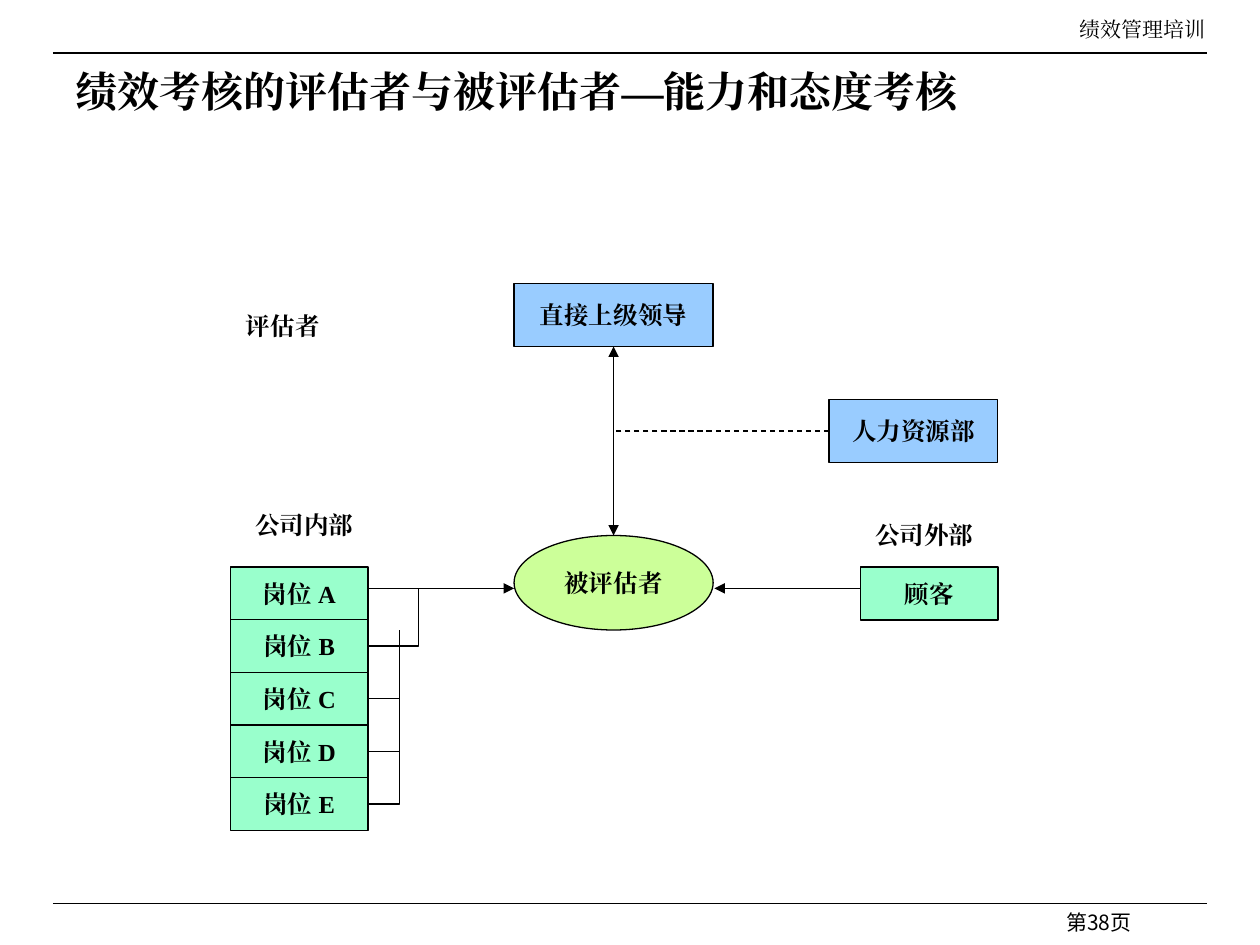
from lxml.etree import SubElement
from pptx import Presentation
from pptx.dml.color import RGBColor
from pptx.enum.dml import MSO_LINE
from pptx.enum.shapes import MSO_CONNECTOR, MSO_SHAPE
from pptx.enum.text import MSO_ANCHOR, MSO_AUTO_SIZE, PP_ALIGN
from pptx.oxml.ns import qn
from pptx.util import Inches, Pt

COLORS = {"ink": "000000", "leader": "99CCFF", "post": "99FFCC", "subject": "CCFF99"}
SERIF = "Times New Roman"
SANS = "Noto Sans CJK SC"


def rgb(name):
    return RGBColor.from_string(COLORS[name])


def write(sp, text, size=14, bold=True, align=PP_ALIGN.CENTER,
          anchor=MSO_ANCHOR.MIDDLE, font=SERIF, wrap=True):
    tf = sp.text_frame
    tf.word_wrap = wrap
    tf.auto_size = MSO_AUTO_SIZE.NONE
    tf.vertical_anchor = anchor
    p = tf.paragraphs[0]
    p.alignment = align
    p.space_before = Pt(0)
    r = p.add_run()
    r.text = text
    r.font.size = Pt(size)
    r.font.bold = bold
    r.font.color.rgb = rgb("ink")
    r.font.name = font
    SubElement(r.font._element, qn("a:ea")).set("typeface", font)


def add_label(s, box, text, **style):
    sp = s.shapes.add_textbox(*map(Inches, box))
    write(sp, text, anchor=MSO_ANCHOR.TOP, **style)


def set_outline(sp):
    sp.line.color.rgb = rgb("ink")
    sp.line.width = Pt(0.75)


def add_node(s, box, text, fill, kind=MSO_SHAPE.RECTANGLE):
    sp = s.shapes.add_shape(kind, *map(Inches, box))
    sp.shadow.inherit = False
    sp.fill.solid()
    sp.fill.fore_color.rgb = rgb(fill)
    set_outline(sp)
    write(sp, text, wrap=False)


def add_line(s, start, end, arrows=(), elbow=False, dashed=False):
    kind = MSO_CONNECTOR.ELBOW if elbow else MSO_CONNECTOR.STRAIGHT
    sp = s.shapes.add_connector(kind, *map(Inches, start + end))
    set_outline(sp)
    if dashed:
        sp.line.dash_style = MSO_LINE.DASH
    props = sp._element.spPr
    if elbow:
        props.find(qn("a:prstGeom")).set("prst", "bentConnector2")
    for arrow in arrows:
        SubElement(sp.line._get_or_add_ln(), qn(f"a:{arrow}")).set("type", "triangle")
    SubElement(props, qn("a:effectLst"))


def add_frame(s, left, right, top, bottom):
    for y in (top, bottom):
        add_line(s, (left, y), (right, y))
    add_label(s, (5, 0.08, 4.67, 0.3), "绩效管理培训",
              size=12, bold=False, align=PP_ALIGN.RIGHT)
    add_label(s, (7, bottom, 2.08, 0.17), "第38页",
              size=12, bold=False, align=PP_ALIGN.RIGHT, font=SANS)


def add_title(s, box, text):
    sp = s.shapes.title
    sp.left, sp.top, sp.width, sp.height = map(Inches, box)
    write(sp, text, size=24, align=PP_ALIGN.LEFT)


def add_posts(s, left, top, width, height):
    row = height / 5
    right = left + width
    for i, letter in enumerate("ABCDE"):
        add_node(s, (left, top + i * row, width, row), f"岗位 {letter}", "post")
    arrow_y = top + 0.17
    add_line(s, (right, arrow_y), (4.08, arrow_y), ["tailEnd"])
    y_b = top + 1.5 * row
    builder = s.shapes.build_freeform(Inches(right), Inches(y_b), scale=1.0)
    builder.add_line_segments(
        [(Inches(x), Inches(y)) for x, y in
         ((right + 0.4, y_b), (right + 0.4, arrow_y), (right, arrow_y))], close=False)
    bracket = builder.convert_to_shape()
    bracket.shadow.inherit = False
    bracket.fill.background()
    set_outline(bracket)
    for i, end_y in enumerate((5, 5.33, 5.92), 2):
        add_line(s, (right, top + (i + 0.5) * row), (right + 0.25, end_y), elbow=True)


def add_center(s, left, top, width, height):
    middle = left + width / 2
    add_node(s, (left, top, width, 0.5), "直接上级领导", "leader")
    add_node(s, (left, top + height - 0.75, width, 0.75), "被评估者", "subject",
             MSO_SHAPE.OVAL)
    bottom = top + height - 0.75
    add_line(s, (middle, top + 0.5), (middle, bottom), ["headEnd", "tailEnd"])
    add_line(s, (6.58, 3.42), (middle, bottom), elbow=True, dashed=True)


def add_outside(s, left, top, right):
    add_node(s, (left, top, right - left, 0.5), "人力资源部", "leader")
    add_node(s, (left + 0.25, 4.5, right - left - 0.25, 0.42), "顾客", "post")
    add_line(s, (left + 0.25, 4.67), (5.67, 4.67), ["tailEnd"])


def main():
    prs = Presentation()
    prs.slide_width, prs.slide_height = Inches(10), Inches(7.5)
    s = prs.slides.add_slide(prs.slide_layouts[5])
    add_frame(s, 0.42, 9.58, 0.42, 7.17)
    add_title(s, (0.5, 0.47, 8.92, 0.5), "绩效考核的评估者与被评估者—能力和态度考核")
    add_posts(s, 1.83, 4.5, 1.09, 2.09)
    add_center(s, 4.08, 2.25, 1.58, 2.75)
    add_outside(s, 6.58, 3.17, 7.92)
    for text, box in (("评估者", (1.58, 2.42, 1.33, 0.34)),
                      ("公司内部", (1.58, 4, 1.67, 0.34)),
                      ("公司外部", (6.67, 4.08, 1.33, 0.34))):
        add_label(s, box, text)
    prs.save("out.pptx")


if __name__ == "__main__":
    main()
